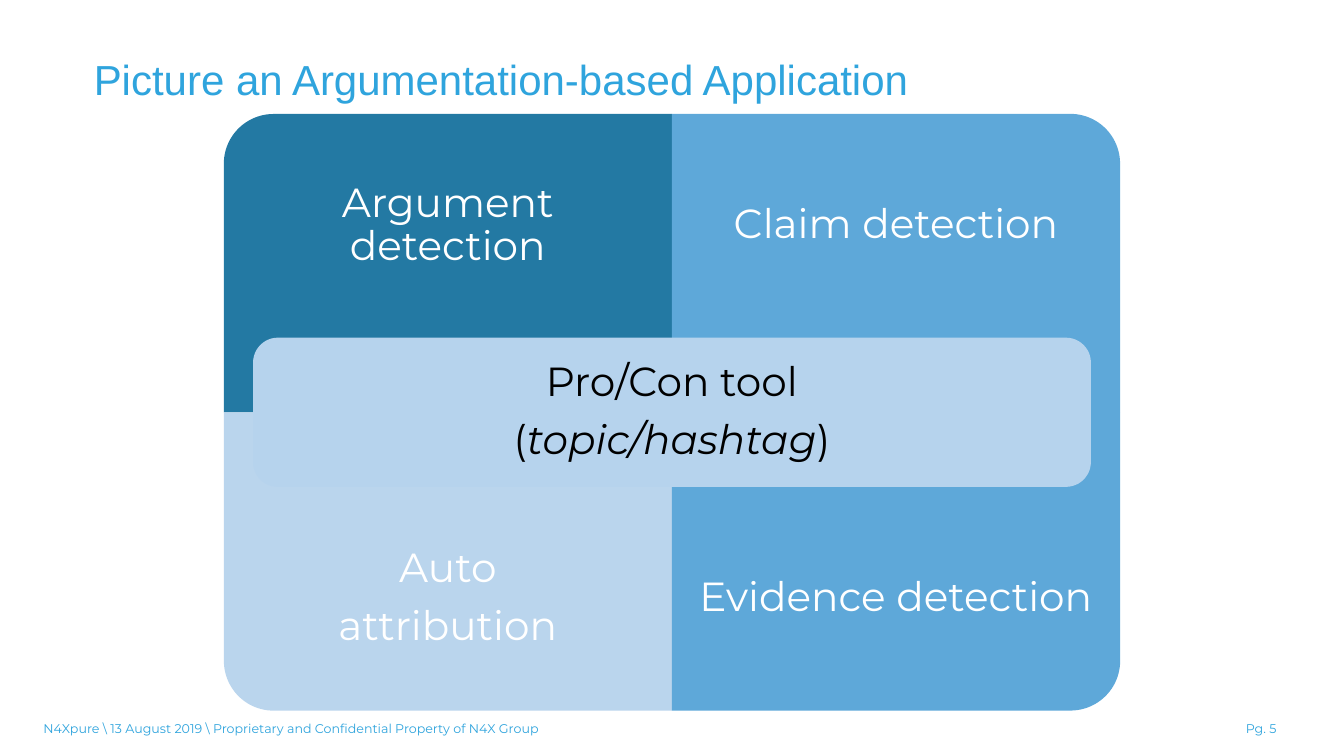
from dataclasses import dataclass

from pptx import Presentation
from pptx import util as u
from pptx.dml.color import RGBColor
from pptx.enum import shapes, text


@dataclass(frozen=True)
class Theme:
    accent: str = "2FA4DD"
    deep: str = "2379A3"
    mid: str = "5EA8D9"
    pale: str = "BAD5ED"
    centre: str = "B6D3ED"
    light: str = "FFFFFF"
    dark: str = "000000"
    title_font: str = "Arial"
    body_font: str = "Montserrat"
    title_size: int = 30
    label_size: int = 29
    footer_size: int = 9


THEME = Theme()

# Matrix geometry in inches
LEFT, TOP = 2.22, 1.13
TILE_W, TILE_H = 4.445, 2.96
LABEL_H = TILE_H * 0.75
CENTRE_W, CENTRE_H = 8.31, TILE_H / 2

# Column, row, rotation, fill and lines of each quadrant
QUADRANTS = [
    (0, 0, 270, THEME.deep, ["Argument detection"]),
    (1, 0, 0, THEME.mid, ["Claim detection"]),
    (0, 1, 180, THEME.pale, ["Auto", "attribution"]),
    (1, 1, 90, THEME.mid, ["Evidence detection"]),
]


def set_font(paragraph, size, color, name=THEME.body_font):
    font = paragraph.font
    font.name, font.size = name, u.Pt(size)
    font.color.rgb = RGBColor.from_string(color)


def set_frame(frame, insets, anchor, wrap=True):
    frame.word_wrap = wrap
    frame.auto_size = text.MSO_AUTO_SIZE.NONE
    frame.vertical_anchor = anchor
    (frame.margin_left, frame.margin_top,
     frame.margin_right, frame.margin_bottom) = map(u.Inches, insets)


def write_label(frame, lines, color, inset):
    """Centred lines; each line is a string or a list of (words, italic)."""
    set_frame(frame, [inset] * 4, text.MSO_ANCHOR.MIDDLE)
    for i, line in enumerate(lines):
        paragraph = frame.paragraphs[0] if i == 0 else frame.add_paragraph()
        paragraph.alignment = text.PP_ALIGN.CENTER
        paragraph.line_spacing = 0.9
        paragraph.space_after = u.Pt(10)
        set_font(paragraph, THEME.label_size, color)
        if isinstance(line, str):
            paragraph.text = line
            continue
        for words, italic in line:
            run = paragraph.add_run()
            run.text, run.font.italic = words, italic


def add_panel(slide, preset, box, fill):
    panel = slide.shapes.add_shape(preset, *map(u.Inches, box))
    panel.shadow.inherit = False
    panel.fill.solid()
    panel.fill.fore_color.rgb = RGBColor.from_string(fill)
    panel.line.fill.background()
    return panel


def add_quadrant(slide, column, row, rotation, fill, lines):
    x, y = LEFT + column * TILE_W, TOP + row * TILE_H
    # A quarter turn swaps width and height around the same centre
    w, h = (TILE_H, TILE_W) if rotation % 180 else (TILE_W, TILE_H)
    box = (x + (TILE_W - w) / 2, y + (TILE_H - h) / 2, w, h)
    tile = add_panel(slide, shapes.MSO_SHAPE.ROUND_1_RECTANGLE, box, fill)
    tile.rotation = rotation

    # The label keeps to the part that the centre panel leaves free
    label_y = y + row * (TILE_H - LABEL_H)
    label = slide.shapes.add_textbox(
        *map(u.Inches, (x, label_y, TILE_W, LABEL_H)))
    write_label(label.text_frame, lines, THEME.light, 0.23)


def add_centre(slide):
    box = (LEFT + TILE_W - CENTRE_W / 2, TOP + TILE_H - CENTRE_H / 2,
           CENTRE_W, CENTRE_H)
    tool = add_panel(slide, shapes.MSO_SHAPE.ROUNDED_RECTANGLE, box,
                     THEME.centre)
    topic = [("(", False), ("topic/hashtag", True), (")", False)]
    write_label(tool.text_frame, ["Pro/Con tool", topic], THEME.dark, 0.19)


def add_title(slide, words):
    title = slide.shapes.title
    title.left, title.top, title.width, title.height = map(
        u.Inches, (0.83, 0.41, 11.54, 0.62))
    set_frame(title.text_frame, (0.1, 0.05, 0.1, 0), text.MSO_ANCHOR.BOTTOM)
    paragraph = title.text_frame.paragraphs[0]
    paragraph.text = words
    paragraph.alignment = text.PP_ALIGN.LEFT
    paragraph.line_spacing = u.Pt(28)
    set_font(paragraph, THEME.title_size, THEME.accent, THEME.title_font)


def add_footer(slide, words, left, width, insets, anchor, align, wrap):
    footer = slide.shapes.add_textbox(
        *map(u.Inches, (left, 7.1, width, 0.25)))
    set_frame(footer.text_frame, insets, anchor, wrap)
    paragraph = footer.text_frame.paragraphs[0]
    paragraph.text = words
    paragraph.alignment = align
    set_font(paragraph, THEME.footer_size, THEME.accent)


def main():
    deck = Presentation()
    deck.slide_width, deck.slide_height = u.Inches(13.33), u.Inches(7.5)
    slide = deck.slides.add_slide(deck.slide_layouts.get_by_name("Title Only"))

    # Footer and title
    add_footer(slide, "Pg. 5", 9.39, 3.27, (0, 0.05, 0, 0.05),
               text.MSO_ANCHOR.TOP, text.PP_ALIGN.RIGHT, True)
    add_footer(slide, "N4Xpure \\ 13 August 2019 \\ Proprietary and "
               "Confidential Property of N4X Group", 0.43, 5.98,
               (0, 0.05, 0.1, 0.05), text.MSO_ANCHOR.MIDDLE,
               text.PP_ALIGN.LEFT, False)
    add_title(slide, "Picture an Argumentation-based Application")

    # Matrix
    for quadrant in QUADRANTS:
        add_quadrant(slide, *quadrant)
    add_centre(slide)

    deck.save("out.pptx")


if __name__ == "__main__":
    main()
